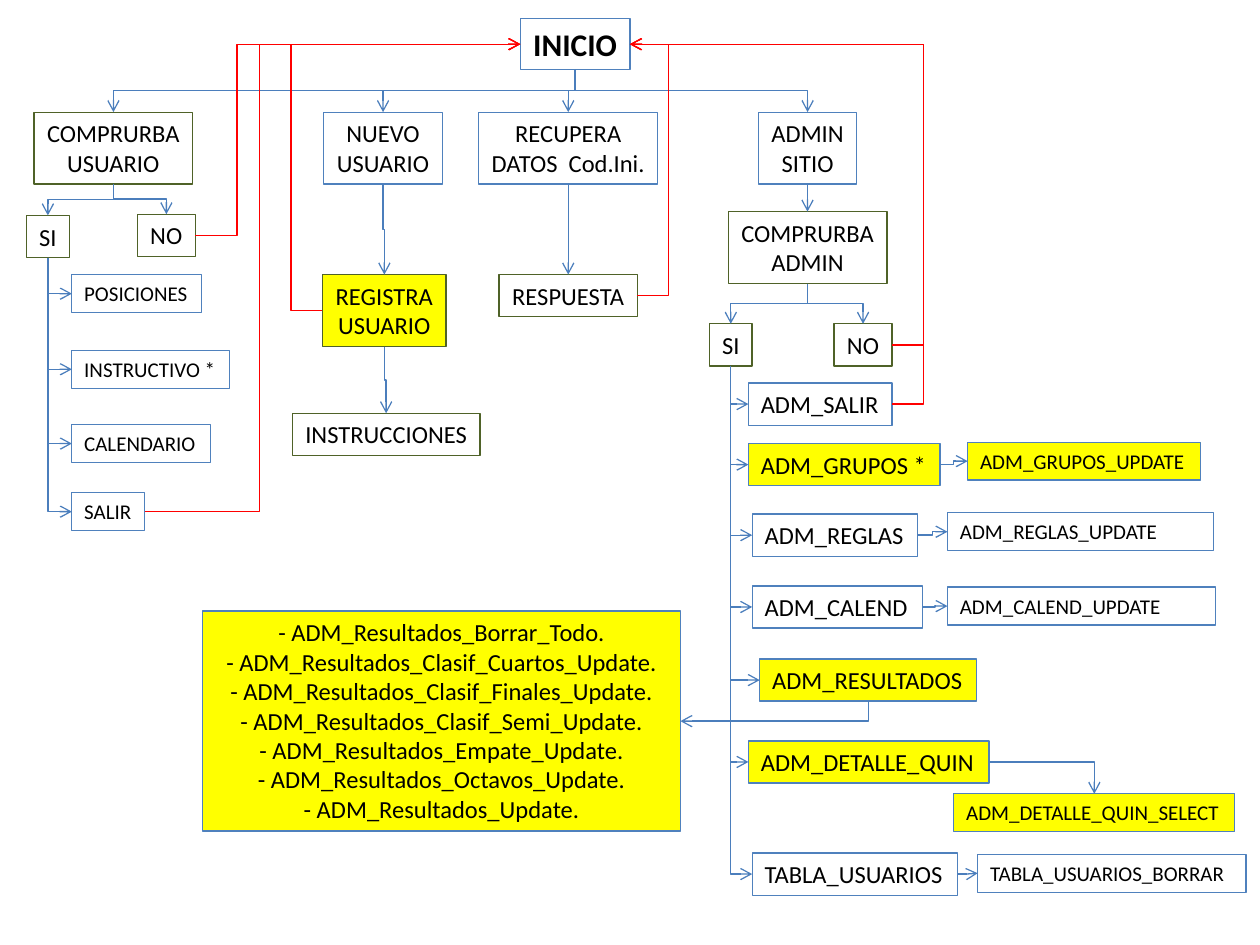
"""Build the site navigation flowchart slide."""
from dataclasses import dataclass
from typing import Optional

from lxml.etree import SubElement
from pptx import Presentation
from pptx.dml.color import RGBColor as Rgb
from pptx.enum.shapes import MSO_CONNECTOR as Connector, MSO_SHAPE as Shape
from pptx.enum.text import MSO_ANCHOR as Anchor, MSO_AUTO_SIZE as AutoSize, PP_ALIGN as Align
from pptx.oxml.ns import qn
from pptx.util import Inches, Pt

COLORS = {"white": "FFFFFF", "yellow": "FFFF00", "black": "000000", "blue": "4F81BD",
          "green": "4F6228", "flow": "4B7EBC", "return": "FF0000"}
PADDING = 0.1
LINE_PER_POINT = 0.0168


@dataclass
class Step:
    key: str
    text: str
    left: float
    top: float
    width: float
    size: int = 14
    fill: str = "white"
    border: str = "blue"
    centered: bool = False
    wrap: bool = False

    @property
    def height(self) -> float:
        return PADDING + len(self.text.split("\n")) * self.size * LINE_PER_POINT

    def side(self, name: str) -> tuple[float, float]:
        middle_x, middle_y = self.left + self.width / 2, self.top + self.height / 2
        return {"left": (self.left, middle_y), "right": (self.left + self.width, middle_y),
                "top": (middle_x, self.top), "bottom": (middle_x, self.top + self.height)}[name]


@dataclass
class Link:
    source: str
    target: str
    leave: str = "bottom"
    enter: str = "top"
    color: str = "flow"
    bend_x: Optional[float] = None


MENU = dict(size=12)
CENTER = dict(centered=True)
CHECK = dict(border="green", centered=True)
MARKED = dict(fill="yellow")
RESULT_PAGES = ("Borrar_Todo", "Clasif_Cuartos_Update", "Clasif_Finales_Update",
                "Clasif_Semi_Update", "Empate_Update", "Octavos_Update", "Update")

STEPS = [
    Step("inicio", "INICIO", 4.13, 0.15, 0.87, size=18, **CENTER),
    Step("usuario", "COMPRURBA\nUSUARIO", 0.27, 0.89, 1.26, **CHECK),
    Step("nuevo", "NUEVO\nUSUARIO", 2.57, 0.89, 0.94, **CENTER),
    Step("recupera", "RECUPERA\nDATOS  Cod.Ini.", 3.8, 0.89, 1.42, **CENTER),
    Step("sitio", "ADMIN\nSITIO", 6.02, 0.89, 0.78, **CENTER),
    Step("usuario_si", "SI", 0.21, 1.71, 0.34, **CHECK),
    Step("usuario_no", "NO", 1.09, 1.7, 0.46, **CHECK),
    Step("posiciones", "POSICIONES", 0.57, 2.18, 1.03, **MENU),
    Step("instructivo", "INSTRUCTIVO *", 0.57, 2.78, 1.25, **MENU),
    Step("calendario", "CALENDARIO", 0.57, 3.37, 1.1, **MENU),
    Step("salir", "SALIR", 0.57, 3.91, 0.58, **MENU),
    Step("registra", "REGISTRA\nUSUARIO", 2.56, 2.18, 0.98, **MARKED, **CHECK),
    Step("instrucciones", "INSTRUCCIONES", 2.32, 3.28, 1.49, **CHECK),
    Step("respuesta", "RESPUESTA", 3.96, 2.18, 1.1, **CHECK),
    Step("admin", "COMPRURBA\nADMIN", 5.78, 1.68, 1.26, **CHECK),
    Step("admin_si", "SI", 5.63, 2.57, 0.34, **CHECK),
    Step("admin_no", "NO", 6.62, 2.57, 0.46, **CHECK),
    Step("adm_salir", "ADM_SALIR", 5.94, 3.04, 1.14),
    Step("grupos", "ADM_GRUPOS *", 5.94, 3.52, 1.52, **MARKED),
    Step("reglas", "ADM_REGLAS", 5.97, 4.08, 1.31),
    Step("calend", "ADM_CALEND", 5.97, 4.65, 1.35),
    Step("resultados", "ADM_RESULTADOS", 6.03, 5.23, 1.72, **MARKED),
    Step("detalle", "ADM_DETALLE_QUIN", 5.94, 5.88, 1.91, **MARKED),
    Step("tabla", "TABLA_USUARIOS", 5.97, 6.77, 1.63),
    Step("grupos_update", "ADM_GRUPOS_UPDATE", 7.68, 3.51, 1.85, **MENU, **MARKED),
    Step("reglas_update", "ADM_REGLAS_UPDATE", 7.52, 4.07, 2.11, wrap=True, **MENU),
    Step("calend_update", "ADM_CALEND_UPDATE", 7.52, 4.66, 2.13, wrap=True, **MENU),
    Step("detalle_select", "ADM_DETALLE_QUIN_SELECT", 7.57, 6.3, 2.23, **MENU, **MARKED),
    Step("tabla_borrar", "TABLA_USUARIOS_BORRAR", 7.76, 6.78, 2.13, wrap=True, **MENU),
    Step("result_pages", "\n".join(f"- ADM_Resultados_{page}." for page in RESULT_PAGES),
         1.61, 4.85, 3.79, wrap=True, **MARKED, **CENTER),
]

DROPS = {"inicio": ("recupera", "sitio", "nuevo", "usuario"),
         "usuario": ("usuario_no", "usuario_si"), "nuevo": ("registra",),
         "recupera": ("respuesta",), "registra": ("instrucciones",),
         "sitio": ("admin",), "admin": ("admin_no", "admin_si")}
MENUS = {"usuario_si": ("posiciones", "instructivo", "calendario", "salir"),
         "admin_si": ("adm_salir", "grupos", "reglas", "calend", "resultados",
                      "detalle", "tabla")}
PAGES = {"grupos": "grupos_update", "reglas": "reglas_update",
         "calend": "calend_update", "tabla": "tabla_borrar"}
RETURNS = [("usuario_no", "right", "left", 1.88), ("salir", "right", "left", 2.06),
           ("registra", "left", "left", 2.31), ("respuesta", "right", "right", 5.31),
           ("admin_no", "right", "right", 7.33), ("adm_salir", "right", "right", 7.33)]

LINKS = [
    *(Link(source, target) for source, targets in DROPS.items() for target in targets),
    *(Link(source, target, enter="left") for source, targets in MENUS.items()
      for target in targets),
    *(Link(source, target, "right", "left") for source, target in PAGES.items()),
    Link("resultados", "result_pages", "bottom", "right"),
    Link("detalle", "detalle_select", "right", "top"),
    *(Link(source, "inicio", leave, enter, "return", bend_x)
      for source, leave, enter, bend_x in RETURNS),
]


def color(name: str) -> Rgb:
    return Rgb.from_string(COLORS[name])


def apply(target: object, values: dict) -> None:
    for name, value in values.items():
        setattr(target, name, value)


def draw_step(slide, step: Step) -> None:
    box = slide.shapes.add_shape(Shape.RECTANGLE, *map(
        Inches, (step.left, step.top, step.width, step.height)))
    box.shadow.inherit = False
    box.fill.solid()
    box.fill.fore_color.rgb = color(step.fill)
    box.line.color.rgb = color(step.border)
    box.line.width = Pt(0.75)
    frame = box.text_frame
    frame.text = step.text
    apply(frame, {"word_wrap": step.wrap, "auto_size": AutoSize.SHAPE_TO_FIT_TEXT,
                  "vertical_anchor": Anchor.TOP})
    for paragraph in frame.paragraphs:
        paragraph.alignment = Align.CENTER if step.centered else Align.LEFT
        apply(paragraph.font, {"name": "Calibri", "size": Pt(step.size),
                               "bold": step.key == "inicio"})
        for run in paragraph.runs:
            apply(run.font, {"name": "Calibri", "size": Pt(step.size),
                             "bold": step.key == "inicio"})
            run.font.color.rgb = color("black")


def draw_link(slide, link: Link, steps: dict[str, Step]) -> None:
    x1, y1 = steps[link.source].side(link.leave)
    x2, y2 = steps[link.target].side(link.enter)
    rotation, ends = 0, (x1, y1, x2, y2)
    if link.leave == "bottom":
        center_x, center_y = (x1 + x2) / 2, (y1 + y2) / 2
        half_w, half_h = (y2 - y1) / 2, abs(x2 - x1) / 2
        rightward = x2 > x1
        rotation = 270 if rightward else 90
        start_w = half_w if rightward else -half_w
        ends = (center_x + start_w, center_y - half_h, center_x - start_w, center_y + half_h)
    arrow = slide.shapes.add_connector(Connector.ELBOW, *map(Inches, ends))
    arrow.line.color.rgb = color(link.color)
    arrow.line.width = Pt(0.75)
    properties = arrow._element.spPr
    if rotation:
        properties.find(qn("a:xfrm")).set("rot", str(rotation * 60000))
    geometry = properties.find(qn("a:prstGeom"))
    if (link.leave == "bottom") != (link.enter == "top"):
        geometry.set("prst", "bentConnector2")
    elif link.bend_x is not None:
        guides = geometry.find(qn("a:avLst"))
        if guides is None:
            guides = SubElement(geometry, qn("a:avLst"))
        share = round((link.bend_x - x1) / (x2 - x1) * 100000)
        SubElement(guides, qn("a:gd"), name="adj1", fmla=f"val {share}")
    SubElement(properties.find(qn("a:ln")), qn("a:tailEnd"), type="arrow")
    SubElement(properties, qn("a:effectLst"))


def main() -> None:
    deck = Presentation()
    apply(deck, {"slide_width": Inches(10), "slide_height": Inches(7.5)})
    slide = deck.slides.add_slide(deck.slide_layouts[6])
    for step in STEPS:
        draw_step(slide, step)
    steps = {step.key: step for step in STEPS}
    for link in LINKS:
        draw_link(slide, link, steps)
    deck.save("out.pptx")


main()
